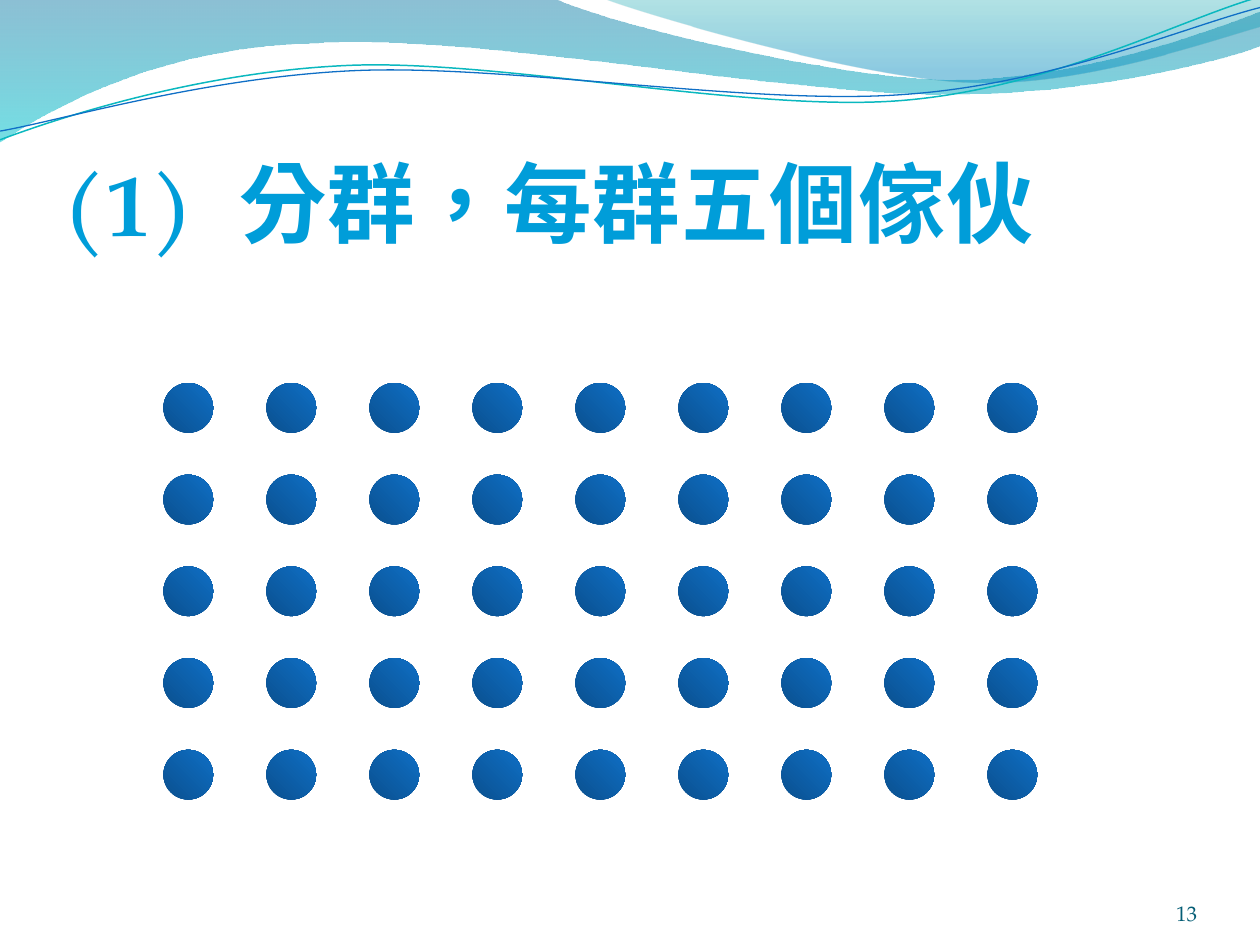
"""Build the slide on forming groups of five, with a wave header and a grid of dots."""
import pptx
import pptx.dml.color
import pptx.enum.lang
import pptx.enum.shapes
import pptx.enum.text
import pptx.oxml
import pptx.oxml.ns
import pptx.util

Pt = pptx.util.Pt
FONT = "TeX Gyre Pagella"
NAMESPACE = pptx.oxml.ns.nsdecls("a")


def color(hex_value):
    return pptx.dml.color.RGBColor.from_string(hex_value)


def add_text(text, left, top, width, height, *, size, hex_color, align="LEFT",
             bold=False, inset_top=0, spacing=0, tab=None):
    box = slide.shapes.add_textbox(Pt(left), Pt(top), Pt(width), Pt(height))
    frame = box.text_frame
    frame.word_wrap = True
    frame.vertical_anchor = pptx.enum.text.MSO_ANCHOR.BOTTOM
    frame.margin_left = frame.margin_right = frame.margin_bottom = 0
    frame.margin_top = Pt(inset_top)
    paragraph = frame.paragraphs[0]
    paragraph.alignment = getattr(pptx.enum.text.PP_ALIGN, align)
    if tab:
        paragraph._p.get_or_add_pPr().append(pptx.oxml.parse_xml(
            f'<a:tabLst {NAMESPACE}><a:tab pos="{Pt(tab)}" algn="l"/></a:tabLst>'))
    run = paragraph.add_run()
    run.text = text
    run.font.name = FONT
    run.font.size = Pt(size)
    run.font.bold = bold
    run.font.color.rgb = color(hex_color)
    run.font.language_id = pptx.enum.lang.MSO_LANGUAGE_ID.TRADITIONAL_CHINESE
    if spacing:
        run._r.get_or_add_rPr().set("spc", str(int(spacing * 100)))


presentation = pptx.Presentation()
presentation.slide_width, presentation.slide_height = Pt(720), Pt(540)
slide = presentation.slides.add_slide(presentation.slide_layouts[6])

# Each segment holds one end point, or two control points and an end point.
waves = [
    {"start": (0, 0),
     "stops": [(0, "0074A1", "alpha", 45), (1, "00C6CF", "alpha", 55)],
     "segments": [
         (317, -0.7), (342.7, 12.2, 478, 45.4, 545.8, 45.4),
         (614.2, 45.4, 689.8, 18.7, 720, 6.5), (720.7, 25.9),
         (707.8, 31.7, 626.4, 54.7, 537.1, 54), (447.8, 54, 275, 20.2, 185, 24.5),
         (92.9, 25.9, 33.1, 59.8, -0.7, 81.4)]},
    {"start": (344.9, -0.7),
     "stops": [(0, "00A1A9", "alpha", 30), (0.8, "008BBF", "alpha", 45)],
     "segments": [
         (366.5, 7.9, 491, 44.6, 553.7, 46.8), (616.3, 49.7, 691.9, 23, 720, 15.1),
         (720, 0)]},
    {"start": (0, 79.9), "line": ("0AB8BF", 0.85),
     "segments": [
         (34.6, 67, 113.8, 41, 199.4, 37.4), (284.4, 33.8, 427, 64.1, 513.4, 57.6),
         (599.8, 51.1, 675.4, 10.8, 718.6, -1.4)]},
    {"start": (0, 74.9), "line": ("0F6FC6", 0.75),
     "segments": [
         (33.8, 69.1, 118.1, 43.9, 203.8, 40.3), (290.2, 36.7, 429.8, 60.5, 516.2, 54),
         (601.9, 48.2, 677.5, 15.1, 720, 4.3)]},
]
gradients = []
for wave in waves:
    start_x, start_y = wave["start"]
    builder = slide.shapes.build_freeform(Pt(start_x), Pt(start_y))
    for segment in wave["segments"]:
        points = zip(segment[::2], segment[1::2])
        builder.add_line_segments([(Pt(x), Pt(y)) for x, y in points], close=False)
    if "stops" in wave:
        builder.add_line_segments([], close=True)
    shape = builder.convert_to_shape()
    shape.shadow.inherit = False

    straight = iter(shape.element.xpath(".//a:lnTo"))
    for segment in wave["segments"]:
        steps = [next(straight) for _ in segment[::2]]
        if len(steps) == 3:
            curve = pptx.oxml.parse_xml(f"<a:cubicBezTo {NAMESPACE}/>")
            steps[0].addprevious(curve)
            for step in steps:
                curve.append(step[0])
                step.getparent().remove(step)

    if "line" in wave:
        line_color, line_width = wave["line"]
        shape.fill.background()
        shape.line.color.rgb = color(line_color)
        shape.line.width = Pt(line_width)
    else:
        gradients.append((shape, 270, wave["stops"]))

add_text("13", 624, 500.4, 60, 28.8, size=12, hex_color="045D75", align="RIGHT")
add_text("(1)\t分群，每群五個傢伙", 36, 55.2, 648, 90, size=50, hex_color="009DD9",
         bold=True, inset_top=3.6, spacing=0.5, tab=100.8)

dot_stops = [(0, "0F6FC6", "shade", 48), (1, "0F6FC6", "shade", 100)]
for column in range(9):
    group = slide.shapes.add_group_shape()
    for row in range(5):
        dot = group.shapes.add_shape(
            pptx.enum.shapes.MSO_SHAPE.OVAL,
            Pt(93.4 + column * 58.86), Pt(218.9 + row * 52.4), Pt(28.4), Pt(28.4))
        dot.shadow.inherit = False
        gradients.append((dot, 45, dot_stops))

for shape, angle, stops in gradients:
    shape.line.fill.background()
    shape.fill.gradient()
    shape.fill.gradient_angle = angle
    for stop, (position, stop_color, _, _) in zip(shape.fill.gradient_stops, stops):
        stop.position = position
        stop.color.rgb = color(stop_color)
    for element, (_, _, modifier, percent) in zip(shape.element.xpath(".//a:gs/a:srgbClr"), stops):
        element.append(pptx.oxml.parse_xml(
            f'<a:{modifier} {NAMESPACE} val="{percent * 1000}"/>'))

presentation.save("out.pptx")
